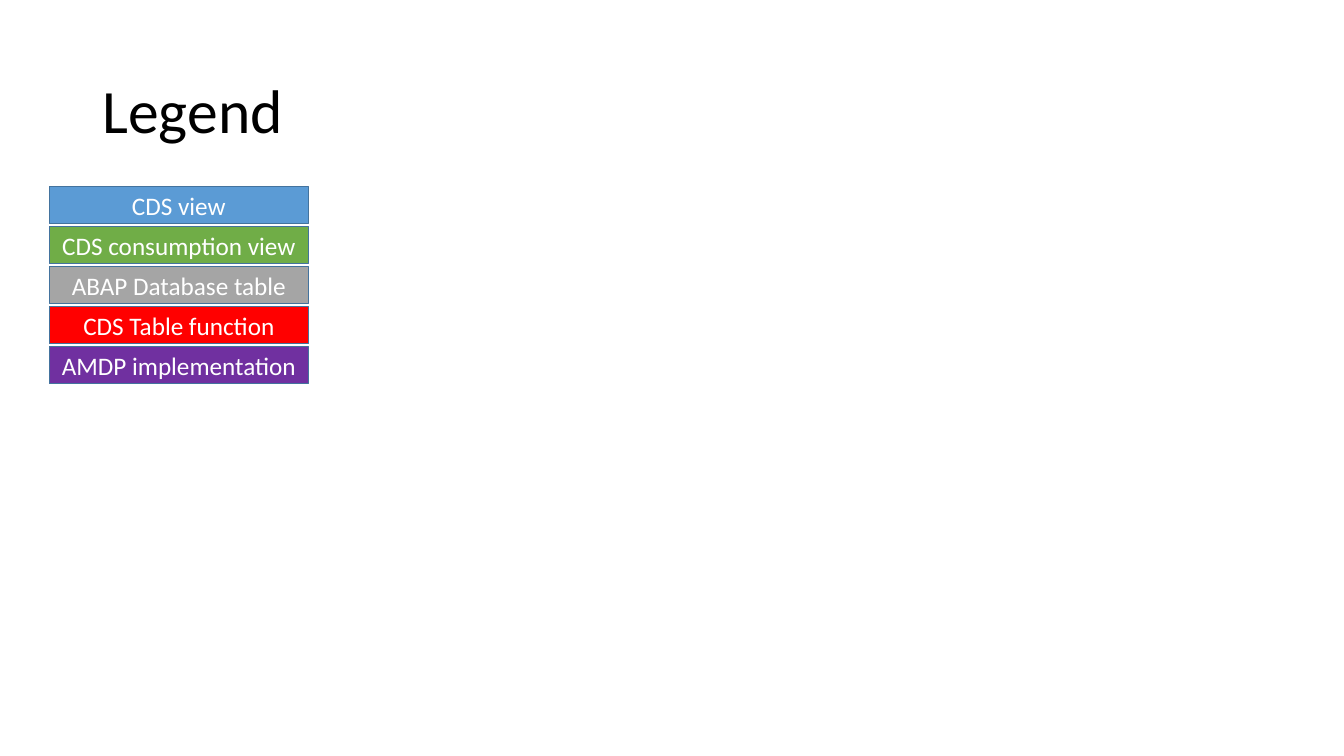
"""Build the legend slide for the CDS diagram colours."""
from pptx import Presentation
from pptx.dml.color import RGBColor
from pptx.enum.shapes import MSO_SHAPE
from pptx.enum.text import MSO_ANCHOR, PP_ALIGN
from pptx.util import Pt

COLORS = {
    "background": "FFFFFF",
    "title": "000000",
    "label": "FFFFFF",
    "outline": "43739E",
    "view": "5B9BD5",
    "consumption": "70AD47",
    "database": "A5A5A5",
    "function": "FF0000",
    "implementation": "7030A0",
}
LEGEND = [
    ("CDS view", "view"),
    ("CDS consumption view", "consumption"),
    ("ABAP Database table", "database"),
    ("CDS Table function", "function"),
    ("AMDP implementation", "implementation"),
]
LEGEND_LEFT, LEGEND_TOP = 35.3, 133.2
ENTRY_WIDTH, ENTRY_HEIGHT, ENTRY_PITCH = 185, 26.6, 28.6


def color(name):
    """Return the named colour."""
    return RGBColor.from_string(COLORS[name])


def write(shape, text, *, size, fill, font, align=PP_ALIGN.LEFT, spacing=1.0):
    """Put one formatted, vertically centred paragraph into a shape."""
    frame = shape.text_frame
    frame.word_wrap = True
    frame.vertical_anchor = MSO_ANCHOR.MIDDLE
    paragraph = frame.paragraphs[0]
    paragraph.alignment = align
    paragraph.line_spacing = spacing
    run = paragraph.add_run()
    run.text = text
    run.font.name = font
    run.font.size = Pt(size)
    run.font.color.rgb = color(fill)


class SlideBuilder:
    """Hold the font and the current slide."""

    def __init__(self, slide, font):
        """Keep the slide and paint its background."""
        self.slide = slide
        self.font = font
        slide.background.fill.solid()
        slide.background.fill.fore_color.rgb = color("background")

    def title(self, text, left, top, width, height):
        """Place and fill the title placeholder."""
        shape = self.slide.shapes.title
        shape.left, shape.top = Pt(left), Pt(top)
        shape.width, shape.height = Pt(width), Pt(height)
        write(shape, text, size=44, fill="title", font=self.font, spacing=0.9)

    def entry(self, text, fill, left, top, width, height):
        """Add one coloured legend entry."""
        shape = self.slide.shapes.add_shape(
            MSO_SHAPE.RECTANGLE, Pt(left), Pt(top), Pt(width), Pt(height)
        )
        shape.shadow.inherit = False
        shape.fill.solid()
        shape.fill.fore_color.rgb = color(fill)
        shape.line.color.rgb = color("outline")
        shape.line.width = Pt(1)
        write(shape, text, size=18, fill="label", font=self.font, align=PP_ALIGN.CENTER)


def main():
    """Build and save the presentation."""
    presentation = Presentation()
    presentation.slide_width, presentation.slide_height = Pt(960), Pt(540)
    title_only = presentation.slide_layouts[5]
    builder = SlideBuilder(presentation.slides.add_slide(title_only), "Calibri")
    builder.title("Legend", 66, 28.75, 828, 104.4)
    for index, (text, fill) in enumerate(LEGEND):
        top = LEGEND_TOP + index * ENTRY_PITCH
        builder.entry(text, fill, LEGEND_LEFT, top, ENTRY_WIDTH, ENTRY_HEIGHT)
    presentation.save("out.pptx")


if __name__ == "__main__":
    main()
